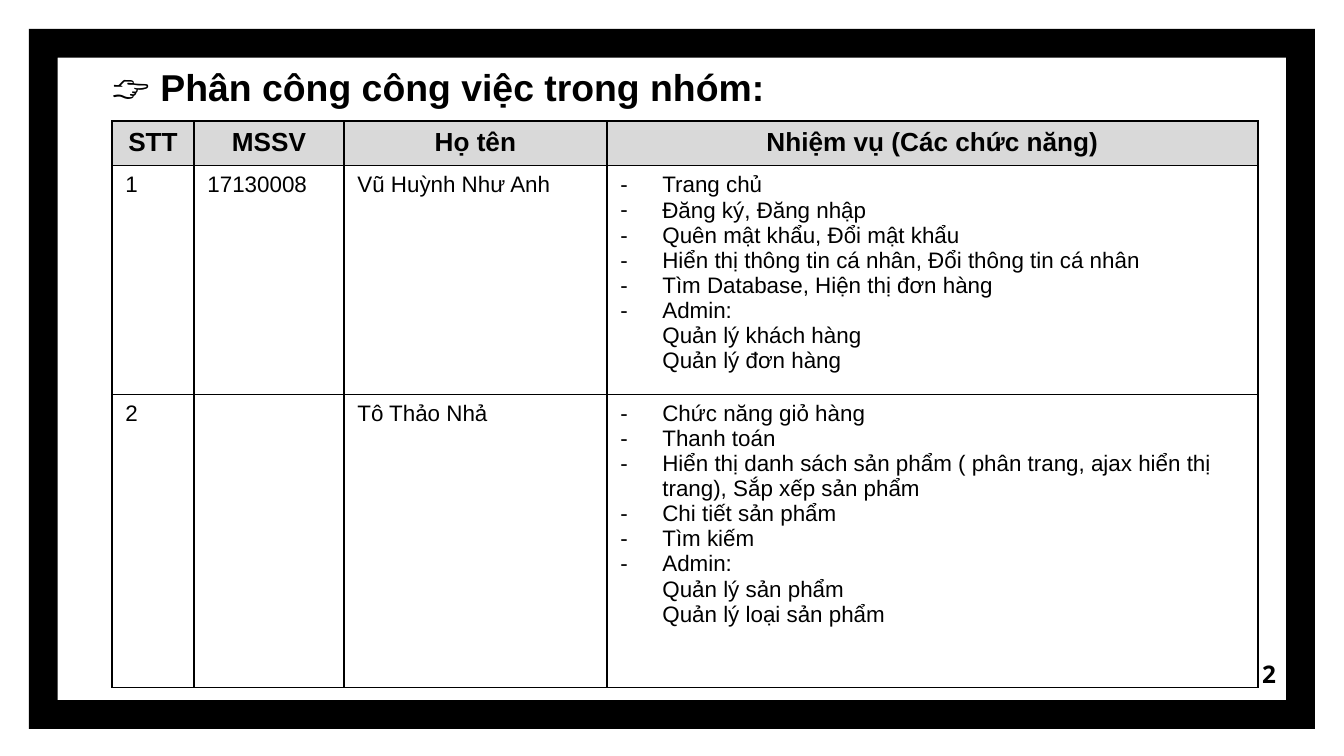
from copy import deepcopy

from pptx import Presentation
from pptx.dml.color import RGBColor
from pptx.enum.shapes import MSO_SHAPE as SHAPE
from pptx.enum.text import MSO_ANCHOR as ANCHOR, PP_ALIGN as ALIGN
from pptx.oxml import parse_xml
from pptx.oxml.ns import nsdecls
from pptx.util import Pt

BLACK = RGBColor(0x00, 0x00, 0x00)
GREY = RGBColor(0xD9, 0xD9, 0xD9)
SANS, SYMBOL = "Arial", "Noto Sans"

TITLE = [("👉", SYMBOL), (" Phân công công việc trong nhóm:", SANS)]
PAGE = [("2", SYMBOL)]
HEADERS = ["STT", "MSSV", "Họ tên", "Nhiệm vụ (Các chức năng)"]
MEMBERS = [
    ("1", "17130008", "Vũ Huỳnh Như Anh", [
        "Trang chủ",
        "Đăng ký, Đăng nhập",
        "Quên mật khẩu, Đổi mật khẩu",
        "Hiển thị thông tin cá nhân, Đổi thông tin cá nhân",
        "Tìm Database, Hiện thị đơn hàng",
        "Admin:\nQuản lý khách hàng\nQuản lý đơn hàng",
    ]),
    ("2", "", "Tô Thảo Nhả", [
        "Chức năng giỏ hàng",
        "Thanh toán",
        "Hiển thị danh sách sản phẩm ( phân trang, ajax hiển thị trang), Sắp xếp sản phẩm",
        "Chi tiết sản phẩm",
        "Tìm kiếm",
        "Admin:\nQuản lý sản phẩm\nQuản lý loại sản phẩm",
    ]),
]
COLS = [82, 150, 263, 651]
ROWS = [42, 216, 293]
INDENT = 42


def px(n):
    return round(n * 914400 / 134.4)


def add_run(p, text, size, font=SANS, bold=False):
    r = p.add_run()
    r.text = text
    r.font.size = Pt(size)
    r.font.name = font
    r.font.bold = bold
    r.font.color.rgb = BLACK
    return r


def add_lines(p, text, size, bold):
    first, *rest = text.split("\n")
    r = add_run(p, first, size, bold=bold)
    for line in rest:
        p.add_line_break()
        p._p[-1].append(deepcopy(r._r.rPr))
        add_run(p, line, size, bold=bold)


def add_text(s, box, runs, size, anchor, align):
    tf = s.shapes.add_textbox(*map(px, box)).text_frame
    tf.word_wrap = True
    tf.vertical_anchor = anchor
    tf.margin_left = tf.margin_right = tf.margin_top = tf.margin_bottom = px(13)
    p = tf.paragraphs[0]
    p.alignment = align
    for text, font in runs:
        add_run(p, text, size, font, True)


def add_bullet(p):
    pPr = p._p.get_or_add_pPr()
    pPr.set("marL", str(px(INDENT)))
    pPr.set("indent", str(-px(INDENT)))
    for tag in (
        f'<a:buClr {nsdecls("a")}><a:srgbClr val="{BLACK}"/></a:buClr>',
        f'<a:buSzPts {nsdecls("a")} val="1200"/>',
        f'<a:buFont {nsdecls("a")} typeface="{SANS}"/>',
        f'<a:buChar {nsdecls("a")} char="-"/>',
    ):
        pPr.append(parse_xml(tag))


def add_borders(cell):
    tcPr = cell._tc.get_or_add_tcPr()
    for i, side in enumerate(["lnL", "lnR", "lnT", "lnB"]):
        tcPr.insert(i, parse_xml(
            f'<a:{side} {nsdecls("a")} w="{Pt(0.75)}"><a:solidFill>'
            f'<a:srgbClr val="{BLACK}"/></a:solidFill></a:{side}>'))


def fill_cell(cell, content, header):
    if header:
        cell.fill.solid()
        cell.fill.fore_color.rgb = GREY
    else:
        cell.fill.background()
    add_borders(cell)
    bulleted = isinstance(content, list)
    tf = cell.text_frame
    for i, item in enumerate(content if bulleted else [content]):
        p = tf.add_paragraph() if i else tf.paragraphs[0]
        p.alignment = ALIGN.CENTER if header else ALIGN.LEFT
        if bulleted:
            add_bullet(p)
        if item:
            add_lines(p, item, 14 if header else 12, header)


def add_members(s):
    box = (112, 121, sum(COLS), sum(ROWS))
    table = s.shapes.add_table(len(ROWS), len(COLS), *map(px, box)).table
    table.horz_banding = False
    for col, w in zip(table.columns, COLS):
        col.width = px(w)
    for row, h in zip(table.rows, ROWS):
        row.height = px(h)
    for i, values in enumerate([HEADERS, *MEMBERS]):
        for j, content in enumerate(values):
            fill_cell(table.cell(i, j), content, i == 0)


def main():
    prs = Presentation()
    prs.slide_width, prs.slide_height = px(1344), px(756)
    s = prs.slides.add_slide(prs.slide_layouts[6])

    frame = s.shapes.add_shape(SHAPE.FRAME, *map(px, (29, 29, 1286, 700)))
    frame.adjustments[0] = 0.041
    frame.shadow.inherit = False
    frame.fill.solid()
    frame.fill.fore_color.rgb = BLACK
    frame.line.fill.background()

    add_text(s, (99, 71, 761, 51), TITLE, 20, ANCHOR.BOTTOM, ALIGN.LEFT)
    add_text(s, (1208, 645, 81, 58), PAGE, 13, ANCHOR.MIDDLE, ALIGN.RIGHT)
    add_members(s)
    prs.save("out.pptx")


if __name__ == "__main__":
    main()
